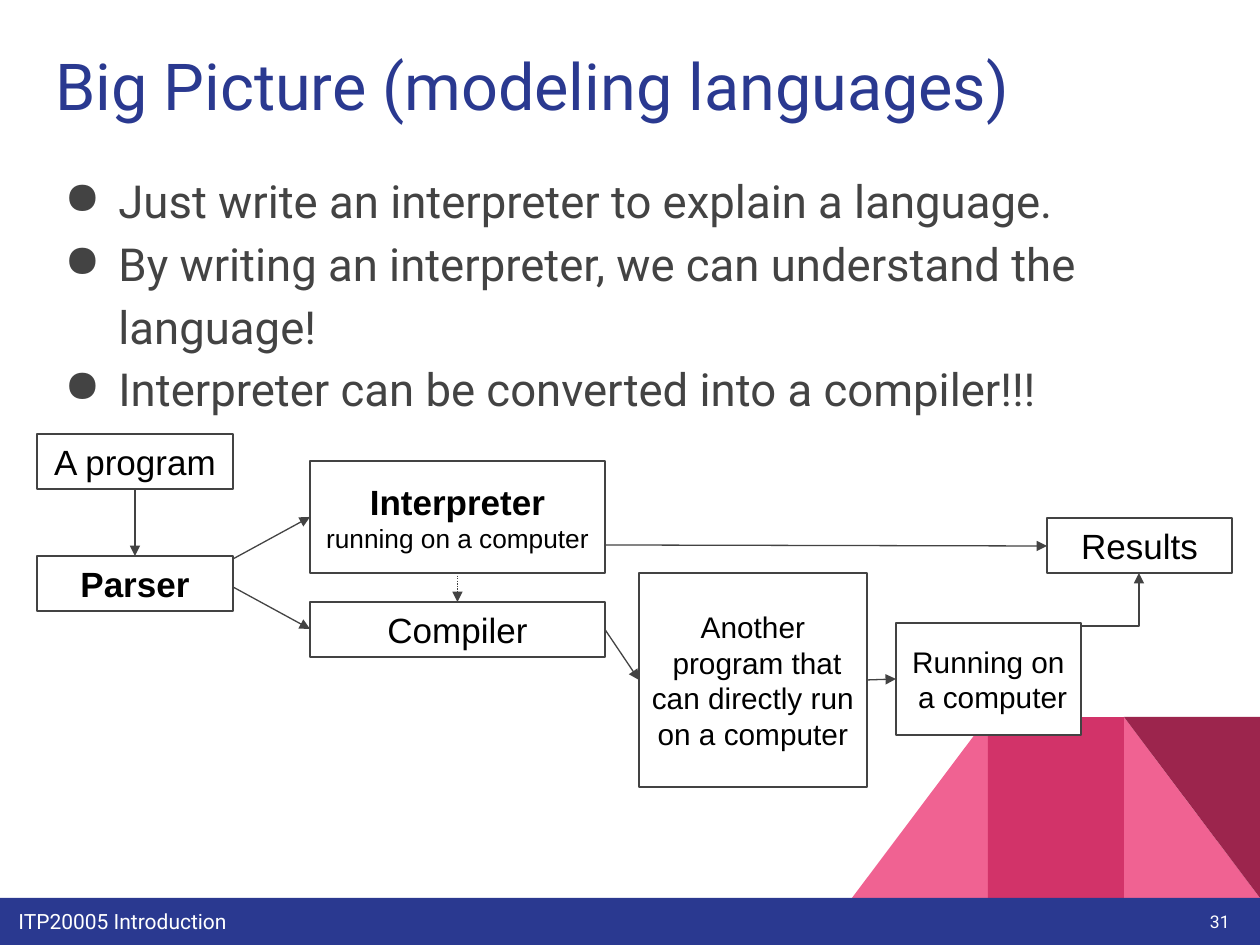
import pptx
import pptx.util
import pptx.dml.color
import pptx.enum.dml
import pptx.enum.shapes
import pptx.enum.text
import pptx.oxml.ns
import lxml.etree

SCALE = 7257
NAVY, GREY, WHITE, BLACK = "2A3990", "434343", "FFFFFF", "000000"
PINK, ROSE, WINE = "F06292", "D23369", "9C254D"
TOP, LEFT, BOTTOM, RIGHT = range(4)
KIND = pptx.enum.shapes.MSO_SHAPE
LINK = pptx.enum.shapes.MSO_CONNECTOR
ALIGN = pptx.enum.text.PP_ALIGN
ANCHOR = pptx.enum.text.MSO_ANCHOR


def px(num):
    return pptx.util.Emu(num * SCALE)


def color(code):
    return pptx.dml.color.RGBColor.from_string(code)


def sub(node, tag, **attrs):
    return lxml.etree.SubElement(node, pptx.oxml.ns.qn(tag), attrs)


def style(run, size, face, code, bold=False):
    run.font.size = pptx.util.Pt(size)
    run.font.name = face
    run.font.bold = bold
    run.font.color.rgb = color(code)


def write(shape, text, size, face, code, align=ALIGN.LEFT,
          anchor=ANCHOR.TOP, bold=False):
    frame = shape.text_frame
    frame.word_wrap = True
    frame.vertical_anchor = anchor
    frame.margin_top = frame.margin_bottom = px(13)
    frame.text = text
    for para in frame.paragraphs:
        para.alignment = align
        for run in para.runs:
            style(run, size, face, code, bold)
    return frame


def label(slide, at, text, size, code, **opts):
    shape = slide.shapes.add_textbox(*map(px, at))
    return write(shape, text, size, "Roboto", code, **opts)


def bullet(para):
    para.line_spacing = 1.15
    props = para._p.get_or_add_pPr()
    props.set("marL", str(px(63)))
    props.set("indent", str(px(-54)))
    sub(sub(props, "a:buClr"), "a:srgbClr", val=GREY)
    sub(props, "a:buChar", char="●")


def block(slide, kind, at, fill, turn=0):
    shape = slide.shapes.add_shape(kind, *map(px, at))
    shape.shadow.inherit = False
    shape.rotation = turn
    if fill:
        shape.fill.solid()
        shape.fill.fore_color.rgb = color(fill)
    else:
        shape.fill.background()
    shape.line.fill.background()
    return shape


def box(slide, at, text, size=20, bold=False, fill=None):
    shape = block(slide, KIND.RECTANGLE, at, fill)
    shape.line.color.rgb = color(GREY)
    shape.line.width = pptx.util.Pt(0.75)
    write(shape, text, size, "Arial", BLACK, ALIGN.CENTER, ANCHOR.MIDDLE, bold)
    return shape


def arrow(slide, start, end, kind=LINK.STRAIGHT):
    line = slide.shapes.add_connector(kind, *map(px, start + end))
    line.line.color.rgb = color(GREY)
    line.line.width = pptx.util.Pt(0.75)
    sub(line.line._get_or_add_ln(), "a:tailEnd", type="triangle")
    sub(line._element.spPr, "a:effectLst")
    return line


def join(slide, first, side, last, goal):
    line = arrow(slide, (0, 0), (0, 0))
    line.begin_connect(first, side)
    line.end_connect(last, goal)
    return line


def decor(slide):
    wide, high, top = 136, 181, 717
    left, mid, right = [(852 + n * wide, top, wide, high) for n in range(3)]
    block(slide, KIND.RIGHT_TRIANGLE, right, PINK)
    slope = block(slide, KIND.RIGHT_TRIANGLE, left, PINK)
    slope._element.spPr.xfrm.set("flipH", "1")
    block(slide, KIND.RECTANGLE, mid, ROSE)
    block(slide, KIND.RIGHT_TRIANGLE, right, WINE, 180)
    block(slide, KIND.RECTANGLE, (0, 898, 1260, 47), NAVY)
    label(slide, (6, 896, 926, 45), "ITP20005 Introduction", 12, WHITE)
    label(slide, (1166, 886, 76, 72), "31", 10, WHITE,
          align=ALIGN.RIGHT, anchor=ANCHOR.MIDDLE)


def words(slide):
    label(slide, (43, 33, 1174, 112), "Big Picture (modeling languages)",
          37, NAVY)
    items = ["Just write an interpreter to explain a language.",
             "By writing an interpreter, we can understand the language!",
             "Interpreter can be converted into a compiler!!!"]
    body = label(slide, (43, 152, 1217, 614), "\n".join(items), 26, GREY)
    for para in body.paragraphs:
        bullet(para)


def flow(slide):
    interp = box(slide, (310, 461, 295, 112), "Interpreter ", bold=True)
    run = interp.text_frame.paragraphs[0].add_run()
    run.text = "running on a computer"
    style(run, 15, "Arial", BLACK)
    comp = box(slide, (310, 602, 295, 55), "Compiler")
    prog = box(slide, (37, 434, 196, 55), "A program")
    other = box(slide, (639, 573, 228, 214),
                "Another\v program that can directly run on a computer", 17)
    runs = box(slide, (896, 623, 185, 112), "Running on\v a computer", 17,
               fill=WHITE)
    box(slide, (1047, 518, 185, 55), "Results")
    parser = box(slide, (37, 556, 196, 55), "Parser", bold=True)

    join(slide, prog, BOTTOM, parser, TOP)
    join(slide, comp, RIGHT, other, LEFT)
    join(slide, other, RIGHT, runs, LEFT)
    dots = join(slide, interp, BOTTOM, comp, TOP)
    dots.line.dash_style = pptx.enum.dml.MSO_LINE.ROUND_DOT
    arrow(slide, (233, 559), (310, 517))
    arrow(slide, (233, 587), (310, 629))
    arrow(slide, (605, 545), (1047, 546))
    bent = arrow(slide, (1057, 597), (1163, 655), LINK.ELBOW)
    bent._element.spPr.xfrm.set("rot", str(270 * 60000))


def main():
    deck = pptx.Presentation()
    deck.slide_width, deck.slide_height = px(1260), px(945)
    slide = deck.slides.add_slide(deck.slide_layouts[6])
    decor(slide)
    words(slide)
    flow(slide)
    deck.save("out.pptx")


if __name__ == "__main__":
    main()
